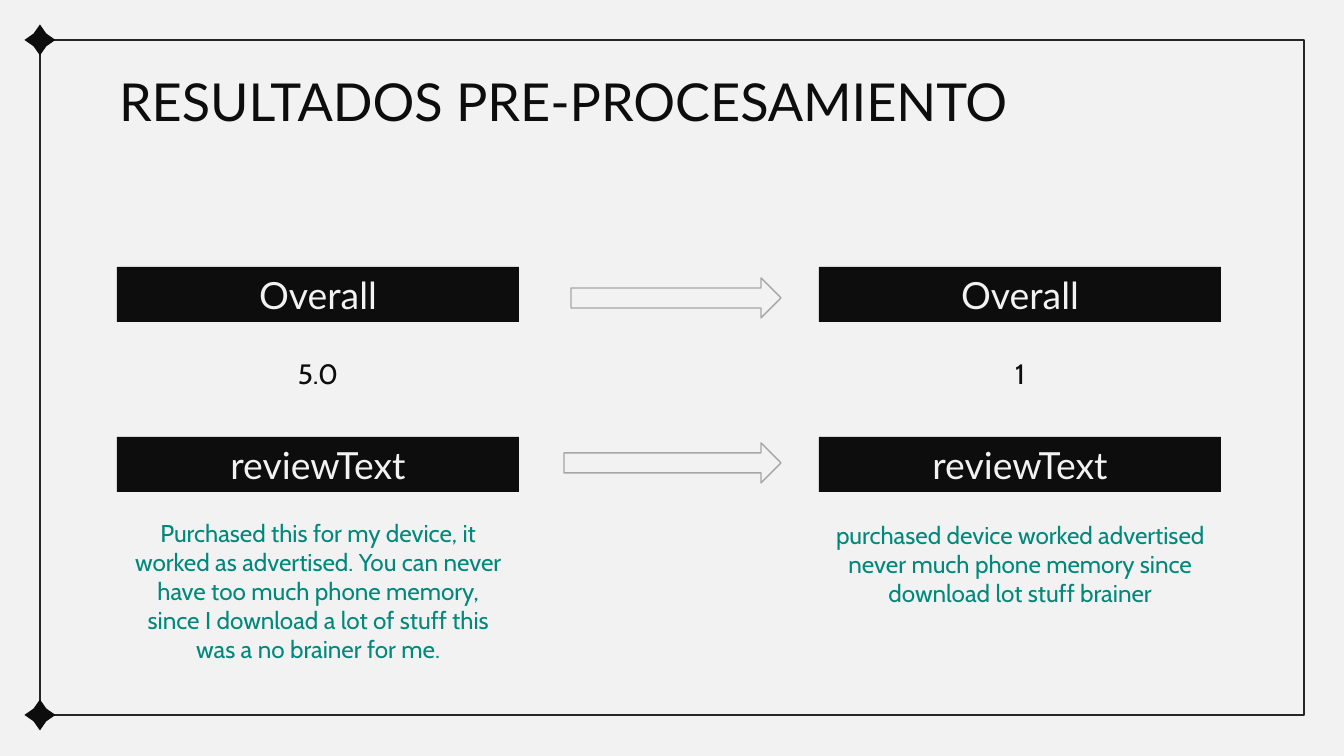
from pptx import Presentation
from pptx import util as u
from pptx.dml.color import RGBColor
from pptx.enum import shapes, text

# Content
TITLE = "RESULTADOS PRE-PROCESAMIENTO"
COLUMNS = [
    {"left": 117, "overall": "5.0", "review_height": 250, "review_inset": 22,
     "review": "Purchased this for my device, it worked as advertised. You can never "
               "have too much phone memory, since I download a lot of stuff this was "
               "a no brainer for me."},
    {"left": 819, "overall": "1", "review_height": 191, "review_inset": 24,
     "review": "purchased device worked advertised never much phone memory since "
               "download lot stuff brainer"},
]
HEADINGS = [("Overall", 267), ("reviewText", 437)]
ARROWS = [(571, 278), (564, 443)]

# Format, lengths in px
COLORS = {"paper": "F2F2F2", "ink": "0D0D0D", "frame": "262626",
          "arrow": "A6A6A6", "review": "00897B"}
FONTS = {
    "title": {"name": "Lato", "size": u.Pt(28), "bold": False},
    "heading": {"name": "Lato", "size": u.Pt(20)},
    "overall": {"name": "Cabin", "size": u.Pt(15)},
    "review": {"name": "Cabin", "size": u.Pt(13)},
}
WIDTH, HEIGHT = 1344, 756
MARGIN, STAR = 40, 31
COLUMN_WIDTH, HEADING_HEIGHT = 402, 55
ARROW_RIGHT, ARROW_HEIGHT = 781, 40
INSET = 13
EMU_PER_PX = 914400 / 134.4


def px(*values):
    return [u.Emu(round(v * EMU_PER_PX)) for v in values]


def color(key):
    return RGBColor.from_string(COLORS[key])


def draw(slide, kind, box, fill=None, line=None):
    shape = slide.shapes.add_shape(kind, *px(*box))
    shape.shadow.inherit = False
    if fill:
        shape.fill.solid()
        shape.fill.fore_color.rgb = color(fill)
    else:
        shape.fill.background()
    if line:
        shape.line.color.rgb = color(line)
        shape.line.width = u.Pt(0.75)
    else:
        shape.line.fill.background()
    return shape


def write(shape, words, style, ink, align=text.PP_ALIGN.CENTER,
          anchor=text.MSO_ANCHOR.MIDDLE, top=INSET):
    frame = shape.text_frame
    side, top = px(INSET, top)
    layout = {"word_wrap": True, "auto_size": text.MSO_AUTO_SIZE.NONE,
              "vertical_anchor": anchor, "margin_left": side, "margin_right": side,
              "margin_top": top, "margin_bottom": side}
    for name, value in layout.items():
        setattr(frame, name, value)
    paragraph = frame.paragraphs[0]
    paragraph.alignment = align
    run = paragraph.add_run()
    run.text = words
    for name, value in FONTS[style].items():
        setattr(run.font, name, value)
    run.font.color.rgb = color(ink)


def main():
    deck = Presentation()
    deck.slide_width, deck.slide_height = px(WIDTH, HEIGHT)
    slide = deck.slides.add_slide(deck.slide_layouts[5])
    slide.background.fill.solid()
    slide.background.fill.fore_color.rgb = color("paper")
    preset = shapes.MSO_SHAPE

    # Frame with a star on each left corner
    draw(slide, preset.RECTANGLE,
         (MARGIN, MARGIN, WIDTH - 2 * MARGIN, HEIGHT - 2 * MARGIN - 1), line="frame")
    for middle in (MARGIN, HEIGHT - MARGIN - 1):
        star = draw(slide, preset.STAR_4_POINT,
                    (MARGIN - STAR / 2, middle - STAR / 2, STAR, STAR), fill="ink")
        star.adjustments[0] = 0.29

    # Title
    title = slide.shapes.title
    title.left, title.top, title.width, title.height = px(106, 56, 1012, 138)
    write(title, TITLE, "title", "ink", text.PP_ALIGN.LEFT, text.MSO_ANCHOR.TOP)

    # Columns before and after processing
    for column in COLUMNS:
        left = column["left"]
        for heading, top in HEADINGS:
            bar = draw(slide, preset.RECTANGLE,
                       (left, top, COLUMN_WIDTH, HEADING_HEIGHT), fill="ink")
            write(bar, heading, "heading", "paper")
        overall = slide.shapes.add_textbox(*px(left, 329, COLUMN_WIDTH, 88))
        write(overall, column["overall"], "overall", "ink")
        review = slide.shapes.add_textbox(
            *px(left, 496, COLUMN_WIDTH, column["review_height"]))
        write(review, column["review"], "review", "review",
              anchor=text.MSO_ANCHOR.TOP, top=column["review_inset"])

    # Arrows between the columns
    for left, top in ARROWS:
        draw(slide, preset.RIGHT_ARROW,
             (left, top, ARROW_RIGHT - left, ARROW_HEIGHT), "paper", "arrow")

    deck.save("out.pptx")


if __name__ == "__main__":
    main()
